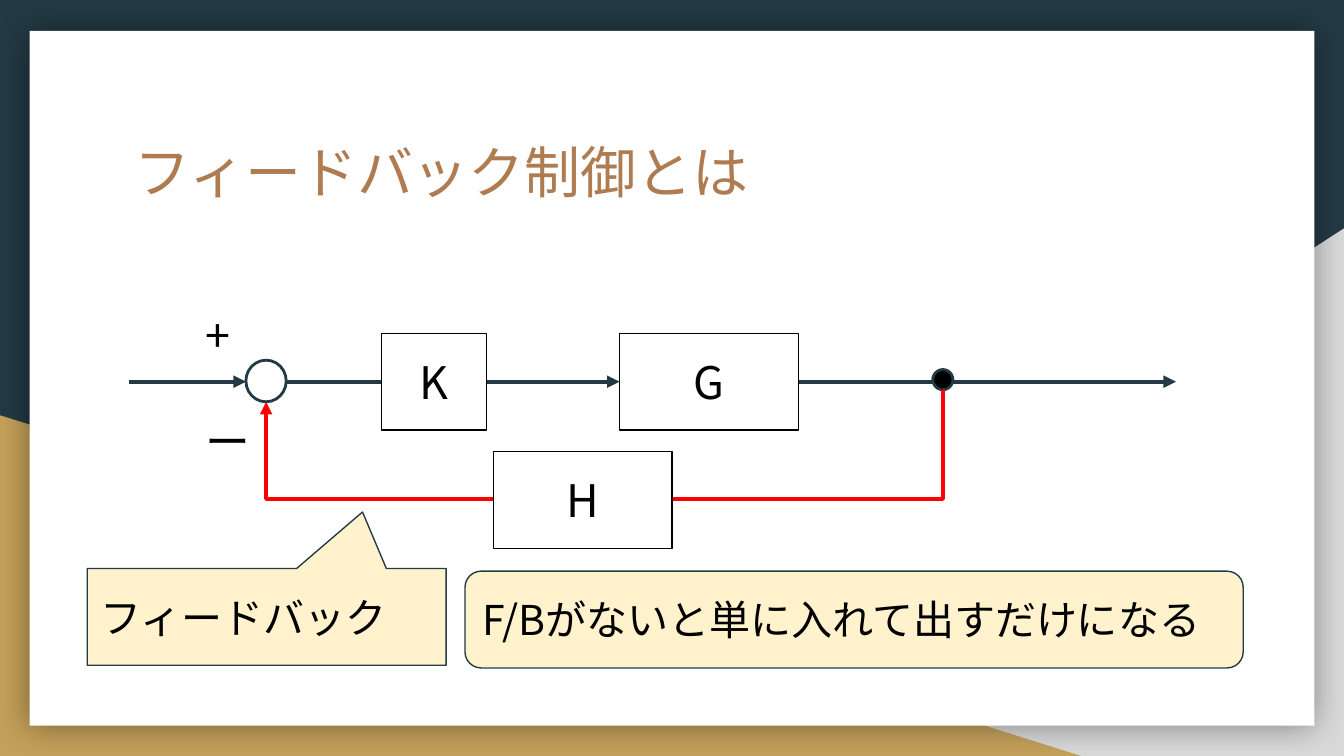
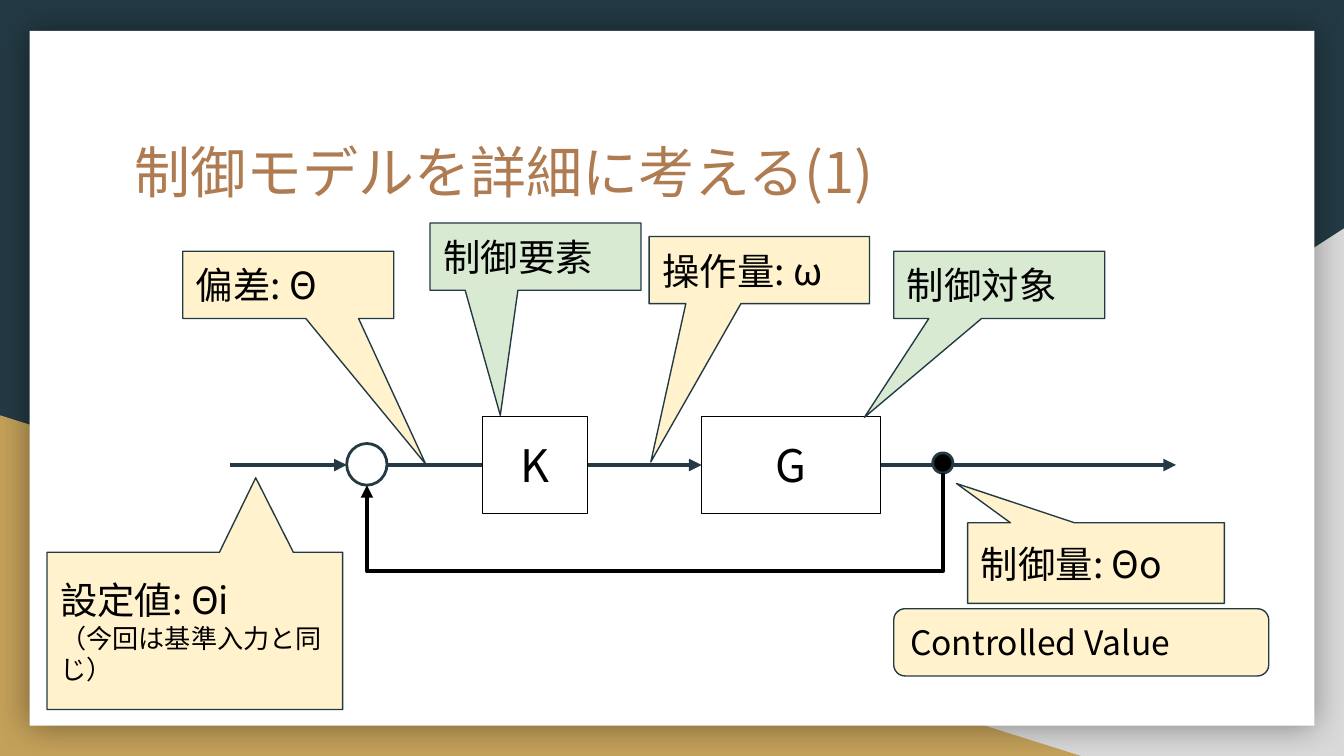
from lxml.etree import SubElement
from pptx import Presentation
from pptx.dml.color import RGBColor
from pptx.enum.shapes import MSO_CONNECTOR as Link, MSO_SHAPE as Kind
from pptx.enum.text import MSO_ANCHOR as Anchor, PP_ALIGN as Align
from pptx.oxml.ns import qn
from pptx.util import Inches, Pt

FONT = "Noto Sans CJK JP"
HUES = {
    "navy": "233A44", "gold": "C4A15A", "gray": "D9D9D9", "white": "FFFFFF",
    "black": "000000", "red": "FF0000", "brown": "AF7B51",
    "cream": "FFF2CC", "green": "D9EAD3",
}
BOX_W = {"K": 0.78, "G": 1.33, "H": 1.33}
BOX_H = 0.72
RING = (0.3, 0.31)
DOT = 0.15
DOT_X = 6.94
END_X = 8.75

SLIDES = [
    {
        "title": "フィードバック制御とは",
        "loop": {"y": 2.84, "start": 0.96, "ring": 1.83, "K": 2.84, "G": 4.61,
                 "floor": 3.71, "hue": "red", "H": (3.67, 3.36)},
        "signs": (1.43, 2.19, 1.65, 1.29),
        "calls": [
            ((0.65, 4.23, 2.67, 0.72), (0.267, -1.084), "cream",
             [("フィードバック", 22)]),
        ],
        "note": ((3.46, 4.25, 5.79, 0.72),
                 [("F/Bがないと単に入れて出すだけになる", 22)]),
    },
    {
        "title": "制御モデルを詳細に考える(1)",
        "loop": {"y": 3.46, "start": 1.71, "ring": 2.58, "K": 3.59, "G": 5.22,
                 "floor": 4.25, "hue": "black"},
        "calls": [
            ((1.36, 1.87, 1.57, 0.5), (0.652, 2.67), "cream",
             [("偏差: Θ", 20)]),
            ((7.2, 3.89, 1.91, 0.6), (-0.544, -0.988), "cream",
             [("制御量: Θo", 20)]),
            ((0.35, 4.11, 2.2, 1.17), (0.206, -0.974), "cream",
             [("設定値: Θi", 20), ("（今回は基準入力と同じ）", 14)]),
            ((3.2, 1.66, 1.57, 0.5), (-0.167, 2.362), "green",
             [("制御要素", 20)]),
            ((4.83, 1.76, 1.64, 0.5), (-0.492, 2.855), "cream",
             [("操作量: ω", 20)]),
            ((6.65, 1.87, 1.57, 0.5), (-0.639, 1.971), "green",
             [("制御対象", 20)]),
        ],
        "note": ((6.65, 4.53, 2.79, 0.5), [("Controlled Value", 18)]),
    },
]


def rgb(hue):
    return RGBColor.from_string(HUES[hue])


def place(at):
    return [Inches(n) for n in at]


def shape(slide, kind, at, fill, line=None, width=0.75):
    item = slide.shapes.add_shape(kind, *place(at))
    item.shadow.inherit = False
    item.fill.solid()
    item.fill.fore_color.rgb = rgb(fill)
    if line:
        item.line.color.rgb = rgb(line)
        item.line.width = Pt(width)
    else:
        item.line.fill.background()
    return item


def add_run(para, text, size, hue="black"):
    run = para.add_run()
    run.text = text
    run.font.size = Pt(size)
    run.font.name = FONT
    run.font.color.rgb = rgb(hue)
    SubElement(run.font._element, qn("a:ea")).set("typeface", FONT)


def set_frame(item, anchor=Anchor.MIDDLE):
    frame = item.text_frame
    frame.word_wrap = True
    frame.vertical_anchor = anchor
    frame.margin_left = frame.margin_right = Inches(0.1)
    frame.margin_top = frame.margin_bottom = Inches(0.1)
    return frame


def label(item, runs, align=Align.LEFT):
    frame = set_frame(item)
    para = frame.paragraphs[0]
    para.alignment = align
    for i, (text, size) in enumerate(runs):
        if i:
            para.add_line_break()
            frame.margin_right = 0
        add_run(para, text, size)


def text_box(slide, at):
    return set_frame(slide.shapes.add_textbox(*place(at)), Anchor.TOP)


def arrow(slide, kind, ends, hue):
    link = slide.shapes.add_connector(kind, *place(ends))
    link.line.color.rgb = rgb(hue)
    link.line.width = Pt(2.25)
    SubElement(link.line._get_or_add_ln(), qn("a:tailEnd")).set("type", "triangle")
    SubElement(link._element.spPr, qn("a:effectLst"))
    return link


def bend(slide, x1, y1, x2, y2, floor, hue):
    long, high = x1 - x2, y2 - y1
    left = (x1 + x2 - high) / 2
    top = (y1 + y2 - long) / 2
    link = arrow(slide, Link.ELBOW, (left, top, left + high, top + long), hue)
    props = link._element.spPr
    props.find(qn("a:xfrm")).set("rot", "5400000")
    geom = props.find(qn("a:prstGeom"))
    vals = geom.find(qn("a:avLst"))
    if vals is None:
        vals = SubElement(geom, qn("a:avLst"))
    guide = SubElement(vals, qn("a:gd"))
    guide.set("name", "adj1")
    guide.set("fmla", f"val {round((floor - y1) / high * 100000)}")


def block(slide, name, x, y):
    item = shape(slide, Kind.RECTANGLE, (x, y, BOX_W[name], BOX_H), "white", "black")
    label(item, [(name, 24)], Align.CENTER)


def frame_page(slide, title):
    slide.background.fill.solid()
    slide.background.fill.fore_color.rgb = rgb("navy")
    wedge = shape(slide, Kind.RIGHT_TRIANGLE, (3.92, 1.7, 6.08, 3.93), "gray")
    wedge._element.spPr.find(qn("a:xfrm")).set("flipH", "1")
    shape(slide, Kind.RIGHT_TRIANGLE, (0, 3.09, 8.06, 2.54), "gold")
    card = shape(slide, Kind.RECTANGLE, (0.22, 0.23, 9.56, 5.17), "white")
    glow = SubElement(card._element.spPr.find(qn("a:effectLst")), qn("a:outerShdw"))
    for key, val in (("blurRad", Pt(18)), ("dist", 0), ("dir", 0)):
        glow.set(key, str(int(val)))
    glow.set("algn", "ctr")
    glow.set("rotWithShape", "0")
    tint = SubElement(glow, qn("a:srgbClr"))
    tint.set("val", HUES["black"])
    SubElement(tint, qn("a:alpha")).set("val", "40000")
    head = text_box(slide, (0.9, 0.92, 8.21, 1.04))
    add_run(head.paragraphs[0], title, 30, "brown")


def draw_loop(slide, loop):
    y, ring = loop["y"], loop["ring"]
    for x1, x2 in ((ring + RING[0], loop["G"]), (loop["start"], ring),
                   (loop["G"] + BOX_W["G"], END_X)):
        arrow(slide, Link.STRAIGHT, (x1, y, x2, y), "navy")
    for name in "KG":
        block(slide, name, loop[name], y - BOX_H / 2)
    shape(slide, Kind.OVAL, (ring, y - 0.16, *RING), "white", "navy", 1.5)
    shape(slide, Kind.OVAL, (DOT_X, y - 0.09, DOT, DOT), "black", "navy", 1.5)
    bend(slide, DOT_X + DOT / 2, y + 0.06, ring + RING[0] / 2, y + 0.15,
         loop["floor"], loop["hue"])
    if "H" in loop:
        block(slide, "H", *loop["H"])


def draw_signs(slide, at):
    frame = text_box(slide, at)
    add_run(frame.paragraphs[0], "+", 24)
    minus = frame.add_paragraph()
    minus.space_before = Pt(28)
    add_run(minus, "ー", 24)


def draw_call(slide, at, tip, fill, runs):
    item = shape(slide, Kind.ROUNDED_RECTANGULAR_CALLOUT, at, fill, "navy")
    for i, val in enumerate((*tip, 0)):
        item.adjustments[i] = val
    label(item, runs)


def main():
    deck = Presentation()
    deck.slide_width, deck.slide_height = Inches(10), Inches(5.625)
    for page in SLIDES:
        slide = deck.slides.add_slide(deck.slide_layouts[6])
        frame_page(slide, page["title"])
        draw_loop(slide, page["loop"])
        if "signs" in page:
            draw_signs(slide, page["signs"])
        for call in page["calls"]:
            draw_call(slide, *call)
        at, runs = page["note"]
        label(shape(slide, Kind.ROUNDED_RECTANGLE, at, "cream", "navy"), runs)
    deck.save("out.pptx")


if __name__ == "__main__":
    main()
